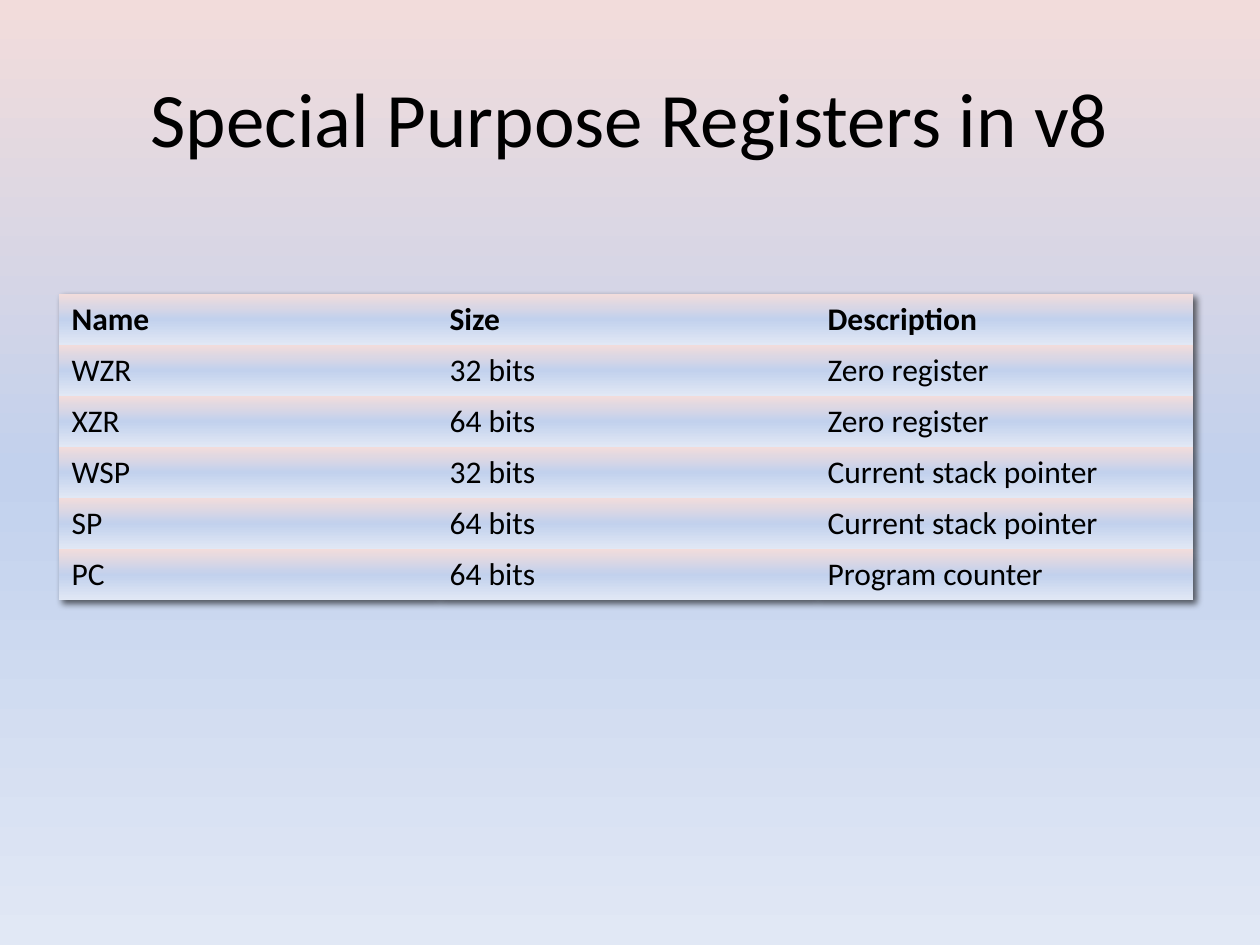
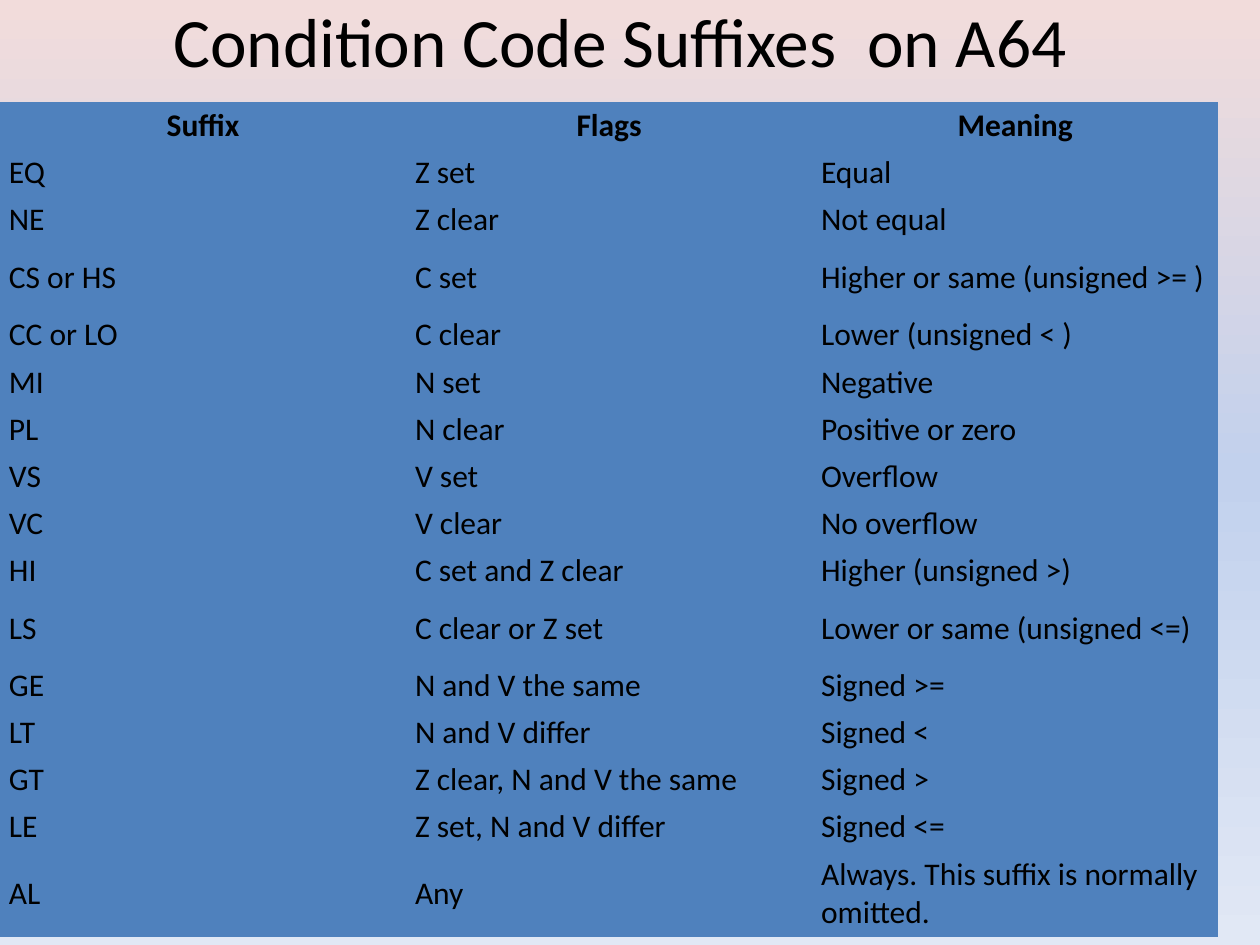
from dataclasses import dataclass

from pptx import Presentation
from pptx.dml.color import RGBColor
from pptx.enum.text import MSO_ANCHOR, MSO_AUTO_SIZE, PP_ALIGN
from pptx.oxml import parse_xml
from pptx.oxml.ns import nsdecls, qn
from pptx.util import Cm, Pt


@dataclass(frozen=True)
class Theme:
    font: str = "Calibri"
    ink: str = "000000"
    condition_fill: str = "4F81BD"
    backdrop: tuple = ((0, "F2DCDB"), (50, "C2D1ED"), (100, "E1E8F5"))
    title_size: float = 44
    compact_title_size: float = 39.6
    body_size: float = 18
    plain_table_style: str = "{2D5ABB26-0587-4C30-8999-92F81FD0307C}"


THEME = Theme()
NBSP = "\u00a0"

REGISTERS = [
    ("Name", "Size", "Description"),
    ("WZR", "32 bits", "Zero register"),
    ("XZR", "64 bits", "Zero register"),
    ("WSP", "32 bits", "Current stack pointer"),
    ("SP", "64 bits", "Current stack pointer"),
    ("PC", "64 bits", "Program counter"),
]

# A tilde stands for a non-breaking space
CONDITIONS = [
    ("Suffix", "Flags", "Meaning"),
    ("EQ", "Z~set", "Equal"),
    ("NE", "Z~clear", "Not equal"),
    ("CS or HS", "C~set", "Higher or same (unsigned >= )"),
    ("CC or LO", "C~clear", "Lower (unsigned < )"),
    ("MI", "N~set", "Negative"),
    ("PL", "N~clear", "Positive or zero"),
    ("VS", "V~set", "Overflow"),
    ("VC", "V~clear", "No overflow"),
    ("HI", "C~set and~Z~clear", "Higher (unsigned >)"),
    ("LS", "C~clear or~Z~set", "Lower or same (unsigned <=)"),
    ("GE", "N~and~V~the same", "Signed >="),
    ("LT", "N~and~V~differ", "Signed <"),
    ("GT", "Z~clear,~N~and~V~the same", "Signed >"),
    ("LE", "Z~set,~N~and~V~differ", "Signed <="),
    ("AL", "Any", "Always. This suffix is normally omitted."),
]


def add_text(paragraph, text, size, bold=False):
    run = paragraph.add_run()
    run.text = text.replace("~", NBSP)
    run.font.name = THEME.font
    run.font.size = Pt(size)
    run.font.bold = bold
    run.font.color.rgb = RGBColor.from_string(THEME.ink)


def fill_with_backdrop(fill, holder):
    """Give the fill found inside the holder element the top-down gradient."""
    fill.gradient()
    fill.gradient_angle = 270
    stops = holder.find(".//" + qn("a:gsLst"))
    for stop in list(stops):
        stops.remove(stop)
    for percent, colour in THEME.backdrop:
        stops.append(parse_xml(
            f'<a:gs {nsdecls("a")} pos="{percent * 1000}">'
            f'<a:srgbClr val="{colour}"/></a:gs>'))


def place_title(slide, box, text, size):
    title = slide.shapes.title
    title.left, title.top, title.width, title.height = box
    frame = title.text_frame
    frame.word_wrap = True
    frame.auto_size = MSO_AUTO_SIZE.NONE
    frame.vertical_anchor = MSO_ANCHOR.MIDDLE
    heading = frame.paragraphs[0]
    heading.alignment = PP_ALIGN.CENTER
    add_text(heading, text, size)


def place_table(slide, box, records, row_heights, style_cell,
                header_align=PP_ALIGN.LEFT):
    """Equal columns over the box width, with a bold first row."""
    left, top, width = box
    table = slide.shapes.add_table(len(records), len(records[0]), left, top,
                                   width, sum(row_heights)).table
    table.horz_banding = False
    table._tbl.tblPr.find(qn("a:tableStyleId")).text = THEME.plain_table_style
    for row, height, record in zip(table.rows, row_heights, records):
        row.height = height
        is_header = record is records[0]
        for cell, text in zip(row.cells, record):
            cell.vertical_anchor = MSO_ANCHOR.MIDDLE
            style_cell(cell)
            entry = cell.text_frame.paragraphs[0]
            entry.alignment = header_align if is_header else PP_ALIGN.LEFT
            add_text(entry, text, THEME.body_size, is_header)
    return table


def style_register_cell(cell):
    fill_with_backdrop(cell.fill, cell._tc)


def style_condition_cell(cell):
    cell.fill.solid()
    cell.fill.fore_color.rgb = RGBColor.from_string(THEME.condition_fill)
    cell.margin_left = cell.margin_right = Cm(0.18)
    cell.margin_top = cell.margin_bottom = Cm(0.08)


def add_table_shadow(table):
    table._tbl.tblPr.insert(0, parse_xml(
        f'<a:effectLst {nsdecls("a")}>'
        '<a:outerShdw blurRad="50800" dist="38100" dir="2700000" algn="tl">'
        '<a:srgbClr val="000000"><a:alpha val="60000"/></a:srgbClr>'
        '</a:outerShdw></a:effectLst>'))


def build_registers_slide(slide):
    place_title(slide, (Cm(1.27), Cm(0.76), Cm(22.86), Cm(3.18)),
                "Special Purpose Registers in v8", THEME.title_size)
    registers = place_table(slide, (Cm(1.19), Cm(5.92), Cm(22.86)), REGISTERS,
                            [Cm(1.03)] * len(REGISTERS), style_register_cell)
    add_table_shadow(registers)


def build_conditions_slide(slide):
    place_title(slide, (Cm(1.07), Cm(-0.05), Cm(22.86), Cm(1.7)),
                "Condition Code Suffixes  on A64", THEME.compact_title_size)
    # Long meanings get taller rows
    tall_rows = {"CS or HS": Cm(1.37), "LS": Cm(1.37), "AL": Cm(1.73)}
    heights = [tall_rows.get(record[0], Cm(0.95)) for record in CONDITIONS]
    place_table(slide, (Cm(0), Cm(2.06), Cm(24.56)), CONDITIONS, heights,
                style_condition_cell, PP_ALIGN.CENTER)


deck = Presentation()
deck.slide_width, deck.slide_height = Cm(25.4), Cm(19.05)

# Shared background
master = deck.slide_master
fill_with_backdrop(master.background.fill, master.background._cSld)

title_only = deck.slide_layouts[5]
for build in (build_registers_slide, build_conditions_slide):
    build(deck.slides.add_slide(title_only))

deck.save("out.pptx")
